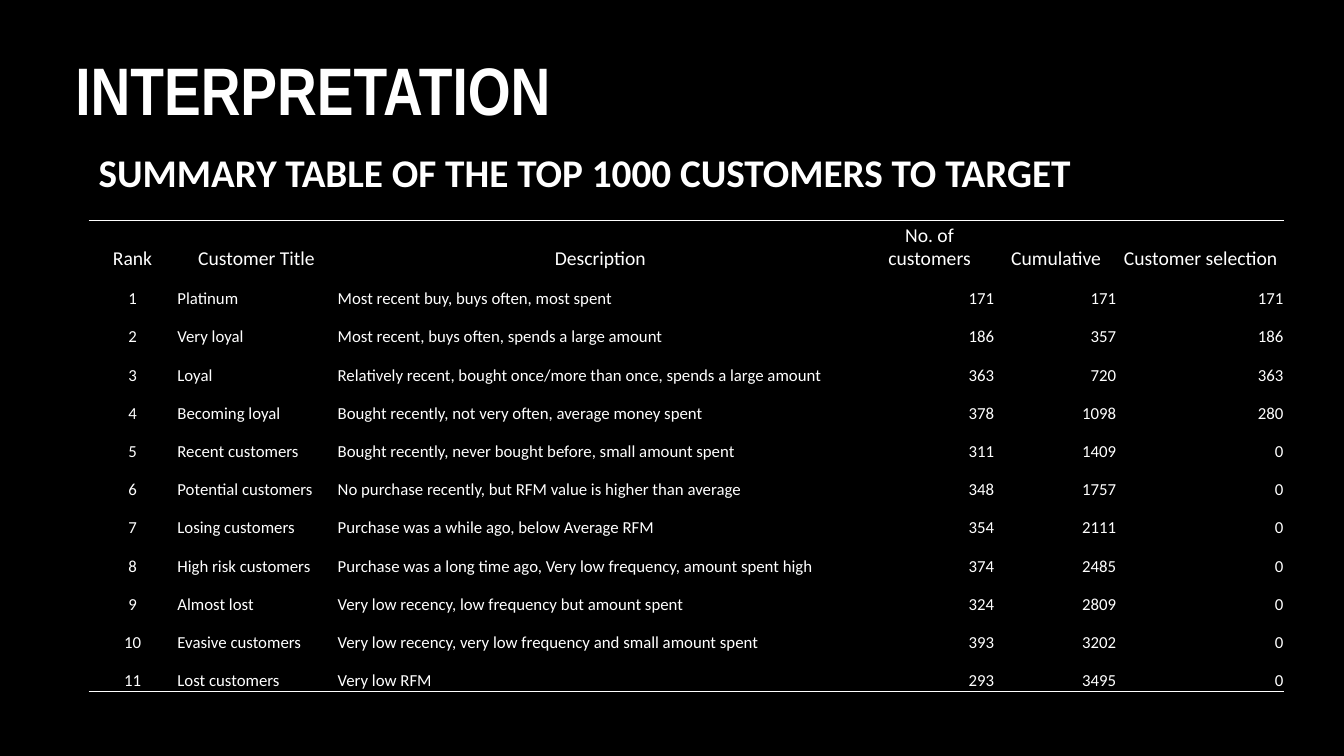
import itertools

import pptx
import pptx.dml.color
import pptx.enum.text
import pptx.oxml
import pptx.oxml.ns
import pptx.util
from pptx.util import Inches

BLACK = pptx.dml.color.RGBColor(0x00, 0x00, 0x00)
WHITE = pptx.dml.color.RGBColor(0xFF, 0xFF, 0xFF)
LEFT = pptx.enum.text.PP_ALIGN.LEFT
CENTER = pptx.enum.text.PP_ALIGN.CENTER
RIGHT = pptx.enum.text.PP_ALIGN.RIGHT
TOP = pptx.enum.text.MSO_ANCHOR.TOP
MIDDLE = pptx.enum.text.MSO_ANCHOR.MIDDLE
NO_STYLE_NO_GRID = "{2D5ABB26-0587-4C30-8999-92F81FD0307C}"
TARGET = 1000


def write_text(frame, text, size=12, font="Calibri", bold=False, align=LEFT, spacing=None):
    """Put one white formatted paragraph into a text frame."""
    frame.word_wrap = True
    paragraph = frame.paragraphs[0]
    paragraph.alignment = align
    if spacing:
        paragraph.line_spacing = spacing
    run = paragraph.add_run()
    run.text = text
    run.font.size = pptx.util.Pt(size)
    run.font.name = font
    run.font.bold = bold
    run.font.color.rgb = WHITE


def add_rule(cell, edge):
    """Draw a 1 pt white border on one edge of a cell, 'lnT' or 'lnB'."""
    border = pptx.oxml.parse_xml(
        f'<a:{edge} {pptx.oxml.ns.nsdecls("a")} w="12700"><a:solidFill>'
        f'<a:srgbClr val="{WHITE}"/></a:solidFill></a:{edge}>')
    cell._tc.get_or_add_tcPr().insert(0, border)


deck = pptx.Presentation()
deck.slide_width, deck.slide_height = Inches(13.33), Inches(7.5)
slide = deck.slides.add_slide(deck.slide_layouts[6])
slide.background.fill.solid()
slide.background.fill.fore_color.rgb = BLACK

title = slide.shapes.add_textbox(Inches(0.65), Inches(0.59), Inches(10.83), Inches(0.8)).text_frame
title.vertical_anchor = TOP
write_text(title, "INTERPRETATION", size=48, font="Arial Narrow", bold=True, spacing=0.8)

subtitle = slide.shapes.add_textbox(Inches(0.88), Inches(1.39), Inches(9.88), Inches(0.68)).text_frame
subtitle.vertical_anchor = MIDDLE
write_text(subtitle, "SUMMARY TABLE OF THE TOP 1000 CUSTOMERS TO TARGET",
           size=28, bold=True, spacing=0.9)

# Heading, width in inches, alignment of the values
columns = [
    ("Rank", 0.87, CENTER),
    ("Customer Title", 1.59, LEFT),
    ("Description", 5.23, LEFT),
    ("No. of customers", 1.3, RIGHT),
    ("Cumulative", 1.21, RIGHT),
    ("Customer selection", 1.66, RIGHT),
]
segments = [
    ("Platinum", "Most recent buy, buys often, most spent", 171),
    ("Very loyal", "Most recent, buys often, spends a large amount", 186),
    ("Loyal", "Relatively recent, bought once/more than once, spends a large amount", 363),
    ("Becoming loyal", "Bought recently, not very often, average money spent", 378),
    ("Recent customers", "Bought recently, never bought before, small amount spent", 311),
    ("Potential customers", "No purchase recently, but RFM value is higher than average", 348),
    ("Losing customers", "Purchase was a while ago, below Average RFM", 354),
    ("High risk customers", "Purchase was a long time ago, Very low frequency, amount spent high", 374),
    ("Almost lost", "Very low recency, low frequency but amount spent", 324),
    ("Evasive customers", "Very low recency, very low frequency and small amount spent", 393),
    ("Lost customers", "Very low RFM", 293),
]

# Customers are selected in rank order until the target is reached
rows = [[heading for heading, _, _ in columns]]
totals = itertools.accumulate(count for _, _, count in segments)
for rank, ((name, description, count), total) in enumerate(zip(segments, totals), start=1):
    selected = min(count, max(0, TARGET - (total - count)))
    rows.append([rank, name, description, count, total, selected])

summary_height, header_height = 4.67, 0.5
summary = slide.shapes.add_table(len(rows), len(columns), Inches(0.88), Inches(2.19),
                                 Inches(11.85), Inches(summary_height)).table
summary.first_row = summary.horz_banding = False
summary._tbl.tblPr.find(pptx.oxml.ns.qn("a:tableStyleId")).text = NO_STYLE_NO_GRID

for column, (_, width, _) in zip(summary.columns, columns):
    column.width = Inches(width)

for row_index, values in enumerate(rows):
    is_header = row_index == 0
    segment_height = (summary_height - header_height) / len(segments)
    summary.rows[row_index].height = Inches(header_height if is_header else segment_height)
    for column_index, (value, (_, _, align)) in enumerate(zip(values, columns)):
        cell = summary.cell(row_index, column_index)
        cell.fill.background()
        cell.vertical_anchor = pptx.enum.text.MSO_ANCHOR.BOTTOM
        cell.margin_left = cell.margin_right = cell.margin_top = Inches(0.01)
        cell.margin_bottom = 0
        write_text(cell.text_frame, str(value), size=14 if is_header else 12,
                   align=CENTER if is_header else align)
        if is_header:
            add_rule(cell, "lnT")
        elif row_index == len(segments):
            add_rule(cell, "lnB")

deck.save("out.pptx")
